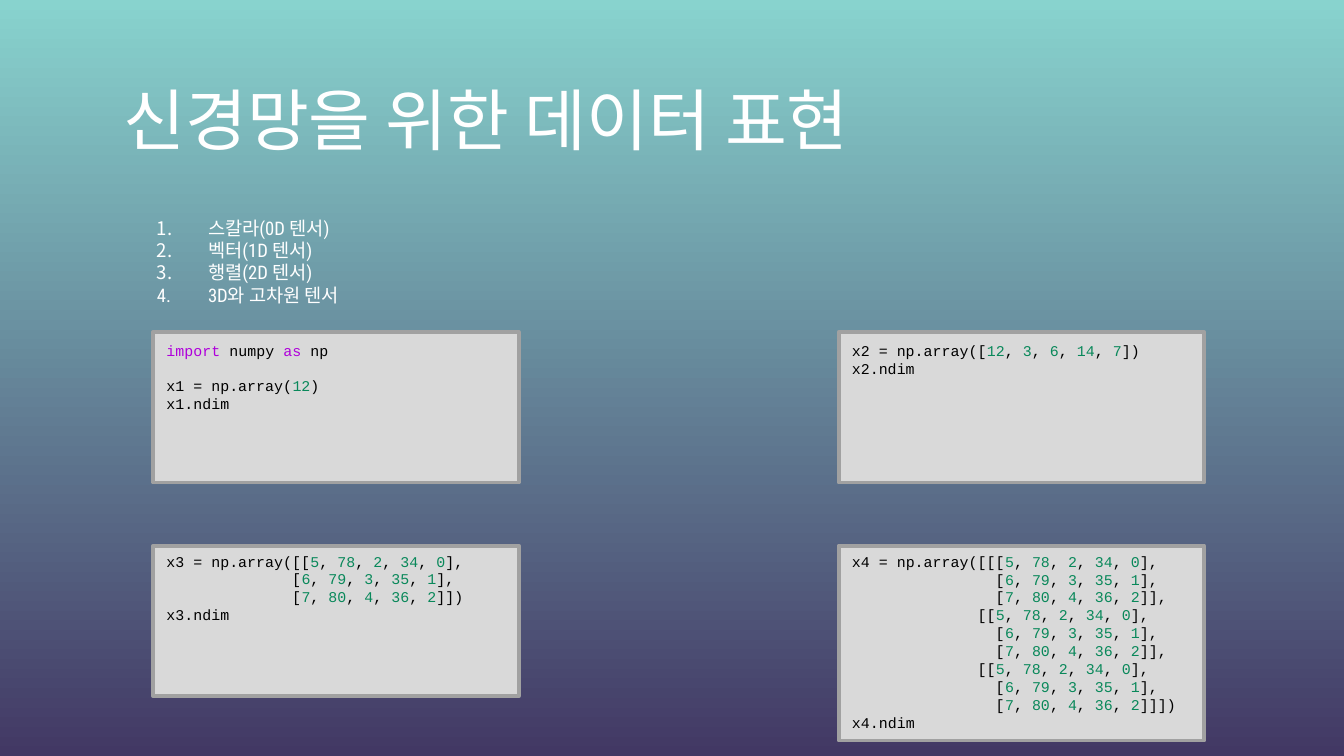
from itertools import groupby

from lxml import etree
from pptx import Presentation
from pptx.dml.color import RGBColor
from pptx.enum.shapes import MSO_SHAPE as Shape
from pptx.enum.text import MSO_ANCHOR as Anchor, MSO_AUTO_SIZE as AutoSize
from pptx.oxml.ns import qn
from pptx.util import Inches, Pt

TEAL = RGBColor(0x88, 0xD3, 0xCE)
PURPLE = RGBColor(0x42, 0x38, 0x64)
WHITE = RGBColor(0xFF, 0xFF, 0xFF)
BLACK = RGBColor(0x00, 0x00, 0x00)
PANEL_FILL = RGBColor(0xD9, 0xD9, 0xD9)
PANEL_LINE = RGBColor(0xA1, 0xA1, 0xA1)
KEYWORD = RGBColor(0xAF, 0x00, 0xDB)
NUMBER = RGBColor(0x09, 0x88, 0x5A)

LEFT, RIGHT = 1.14, 6.24
UPPER, LOWER = 2.47, 4.06
PANEL_WIDTH = 2.72
HARD_SPACE = chr(160)

TOPICS = ["스칼라(0D 텐서)", "벡터(1D 텐서)", "행렬(2D 텐서)", "3D와 고차원 텐서"]
ROWS = ["[5, 78, 2, 34, 0]", "[6, 79, 3, 35, 1]", "[7, 80, 4, 36, 2]"]


def add_text(paragraph, text, font="Calibri", size=10, color=WHITE):
    run = paragraph.add_run()
    run.text = text
    run.font.name = font
    run.font.size = Pt(size)
    run.font.color.rgb = color


def token_color(token):
    if token.isdigit():
        return NUMBER
    return KEYWORD if token in ("import", "as") else BLACK


def colored_pieces(line):
    tokens = ["".join(group) for _, group in groupby(line, str.isalnum)]
    for color, group in groupby(tokens, token_color):
        yield "".join(group).replace(" ", HARD_SPACE), color


def matrix_lines(indent):
    return (",\n" + " " * indent).join(ROWS)


class SlideBuilder:
    code_font = "Courier New"
    code_size = 8
    list_font = "Roboto Condensed"

    def __init__(self, presentation):
        self.slide = presentation.slides.add_slide(presentation.slide_layouts[6])

    def background(self, top_color, bottom_color):
        fill = self.slide.background.fill
        fill.gradient()
        fill.gradient_angle = 270
        for stop, color in zip(fill.gradient_stops, (top_color, bottom_color)):
            stop.color.rgb = color

    def text_frame(self, left, top, width, height, inset=0.05):
        box = self.slide.shapes.add_textbox(
            Inches(left), Inches(top), Inches(width), Inches(height))
        frame = box.text_frame
        frame.word_wrap = True
        frame.margin_top = frame.margin_bottom = Inches(inset)
        return frame

    def title(self, text, *bounds):
        frame = self.text_frame(*bounds, inset=0.1)
        frame.vertical_anchor = Anchor.BOTTOM
        add_text(frame.paragraphs[0], text, size=36)

    def numbered_list(self, items, *bounds):
        frame = self.text_frame(*bounds, inset=0.1)
        for index, item in enumerate(items):
            paragraph = frame.add_paragraph() if index else frame.paragraphs[0]
            properties = paragraph._p.get_or_add_pPr()
            properties.set("marL", str(Inches(0.5)))
            properties.set("indent", str(Inches(-0.38)))
            bullet_color = etree.SubElement(properties, qn("a:buClr"))
            etree.SubElement(bullet_color, qn("a:srgbClr"), val=str(WHITE))
            etree.SubElement(properties, qn("a:buAutoNum"), type="arabicPeriod")
            add_text(paragraph, item, font=self.list_font)

    def panel(self, left, top, height):
        shape = self.slide.shapes.add_shape(
            Shape.RECTANGLE, Inches(left), Inches(top), Inches(PANEL_WIDTH), Inches(height))
        shape.shadow.inherit = False
        shape.fill.solid()
        shape.fill.fore_color.rgb = PANEL_FILL
        shape.line.color.rgb = PANEL_LINE
        shape.line.width = Pt(2)

    def code(self, source, *bounds):
        frame = self.text_frame(*bounds)
        frame.auto_size = AutoSize.SHAPE_TO_FIT_TEXT
        paragraph = frame.paragraphs[0]
        for index, line in enumerate(source.split("\n")):
            if index and paragraph.runs:
                paragraph = frame.add_paragraph()
            if not line:
                paragraph.add_line_break()
                paragraph.line_spacing = 1.0
            for text, color in colored_pieces(line):
                add_text(paragraph, text, font=self.code_font,
                         size=self.code_size, color=color)
            for line_break in paragraph._p.findall(qn("a:br")):
                if line_break.find(qn("a:rPr")) is None:
                    properties = etree.SubElement(line_break, qn("a:rPr"))
                    properties.set("sz", str(self.code_size * 100))
                    etree.SubElement(properties, qn("a:latin"), typeface=self.code_font)


def main():
    presentation = Presentation()
    presentation.slide_width = Inches(10)
    presentation.slide_height = presentation.slide_width * 9 // 16
    builder = SlideBuilder(presentation)

    builder.background(TEAL, PURPLE)
    builder.title("신경망을 위한 데이터 표현", 0.82, 0.55, 6.05, 0.73)
    builder.numbered_list(TOPICS, 0.95, 1.51, 2.07, 3.75)

    for top in (UPPER, LOWER):
        for left in (LEFT, RIGHT):
            builder.panel(left, top, 1.45 if (left, top) == (RIGHT, LOWER) else 1.12)

    matrix = matrix_lines(14)
    cube = (",\n" + " " * 14).join([f"[{matrix_lines(16)}]"] * 3)
    builder.code("import numpy as np\n\nx1 = np.array(12)\nx1.ndim",
                 LEFT, 2.49, 5, 0.64)
    builder.code("x2 = np.array([12, 3, 6, 14, 7])\nx2.ndim", RIGHT, 2.49, 5, 0.37)
    builder.code(f"x3 = np.array([{matrix}])\nx3.ndim", LEFT, LOWER, 5, 0.64)
    builder.code(f"x4 = np.array([{cube}])\nx4.ndim", RIGHT, LOWER, 2.61, 1.45)

    presentation.save("out.pptx")


if __name__ == "__main__":
    main()
